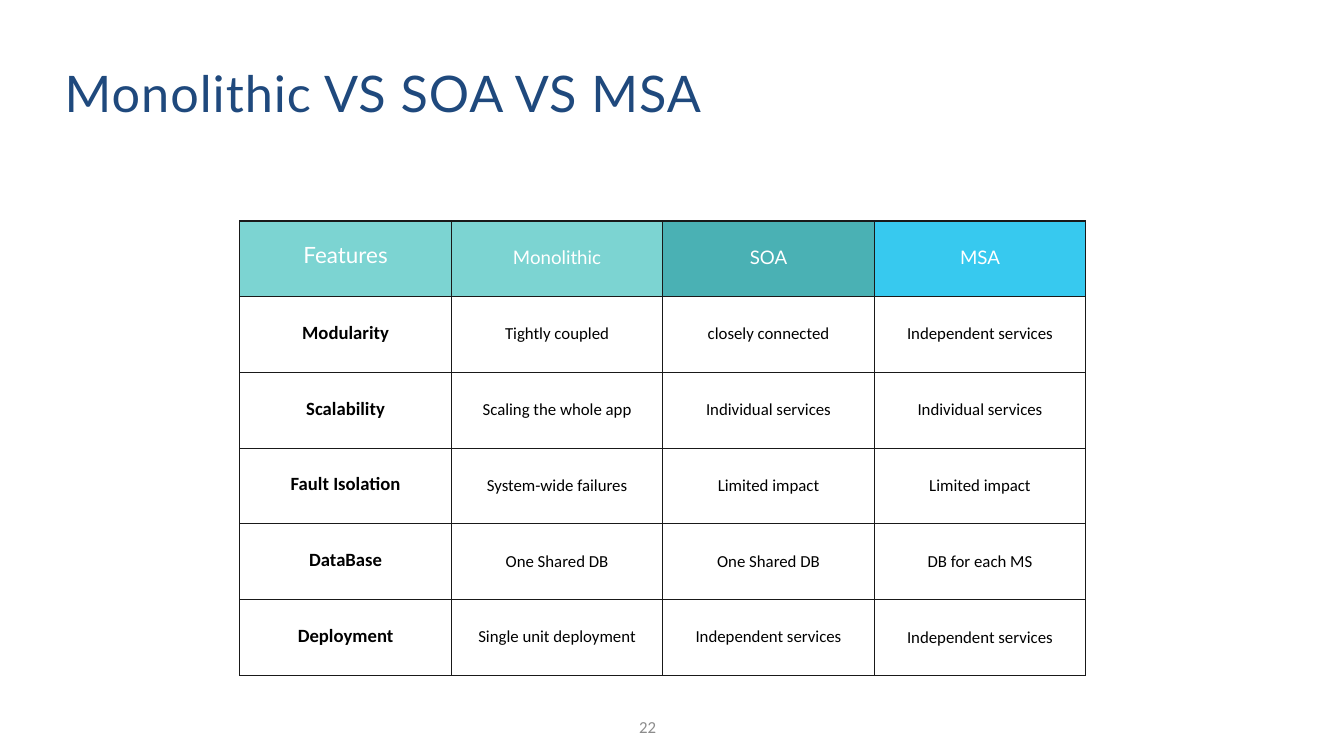
from lxml import etree
from pptx import Presentation
from pptx.dml.color import RGBColor
from pptx.enum.text import MSO_ANCHOR as Anchor, PP_ALIGN as Align
from pptx.oxml.ns import qn
from pptx.util import Pt

HEADER_FILLS = ["7CD4D2", "7CD4D2", "4AB1B4", "37C9EF"]
ROWS = [
    ["Features", "Monolithic", "SOA", "MSA"],
    ["Modularity", "Tightly coupled", "closely connected", "Independent services"],
    ["Scalability", "Scaling the whole app", "Individual services", "Individual services"],
    ["Fault Isolation", "System-wide failures", "Limited impact", "Limited impact"],
    ["DataBase", "One Shared DB", "One Shared DB", "DB for each MS"],
    ["Deployment", "Single unit deployment", "Independent services", "Independent services"],
]
COL_WIDTH, ROW_HEIGHT = 226.6, 81.1


def rgb(value):
    return RGBColor.from_string(value)


def set_text(tf, text, size, color, font="Calibri", bold=False, align=Align.CENTER,
             leading=None, spacing=None):
    p = tf.paragraphs[0]
    p.alignment = align
    if leading:
        p.line_spacing = Pt(leading)
    r = p.add_run()
    r.text = text
    r.font.name, r.font.size, r.font.bold = font, Pt(size), bold
    r.font.color.rgb = rgb(color)
    if spacing:
        r.font._element.set("spc", str(round(spacing * 100)))


def set_margins(item, margin):
    item.margin_left = item.margin_right = Pt(margin)
    item.margin_top = item.margin_bottom = Pt(margin)


def add_borders(cell, color, width):
    tc_pr = cell._tc.get_or_add_tcPr()
    for i, side in enumerate(["lnL", "lnR", "lnT", "lnB"]):
        ln = etree.Element(qn(f"a:{side}"), w=str(Pt(width)))
        fill = etree.SubElement(ln, qn("a:solidFill"))
        etree.SubElement(fill, qn("a:srgbClr"), val=color)
        tc_pr.insert(i, ln)  # borders come before the fill


def add_title(s, text):
    sp = s.shapes.title
    sp.left, sp.top, sp.width, sp.height = Pt(-48.2), Pt(84.2), Pt(918), Pt(51.1)
    tf = sp.text_frame
    tf.word_wrap = True
    tf.vertical_anchor = Anchor.TOP
    set_margins(tf, 0)
    set_text(tf, text, 54, "1F497D", font="Lato", leading=47.1, spacing=1.1)


def add_comparison_table(s, left, top):
    n_rows, n_cols = len(ROWS), len(ROWS[0])
    table = s.shapes.add_table(n_rows, n_cols, Pt(left), Pt(top),
                               Pt(COL_WIDTH * n_cols), Pt(ROW_HEIGHT * n_rows)).table
    for col in table.columns:
        col.width = Pt(COL_WIDTH)
    for i, row in enumerate(ROWS):
        table.rows[i].height = Pt(ROW_HEIGHT)
        for j, text in enumerate(row):
            cell = table.cell(i, j)
            cell.vertical_anchor = Anchor.MIDDLE
            cell.fill.solid()
            cell.fill.fore_color.rgb = rgb("FFFFFF" if i else HEADER_FILLS[j])
            add_borders(cell, "191919", 1.5)
            # The lower cells of the MSA column keep default margins and leading
            plain = i >= 3 and j == 3
            if not plain:
                set_margins(cell, 13.7)
            leading = None if plain else 21
            if i == 0:
                set_text(cell.text_frame, text, 20 if j else 24, "FFFFFF",
                         font="Lato", leading=leading)
            else:
                set_text(cell.text_frame, text, 18 if j else 20, "000000",
                         bold=j == 0, leading=leading)


def add_page_number(s, number):
    tf = s.shapes.add_textbox(Pt(542.2), Pt(764.6), Pt(167.8), Pt(28.8)).text_frame
    tf.word_wrap = True
    tf.vertical_anchor = Anchor.MIDDLE
    set_text(tf, number, 18, "8C8C8C", align=Align.RIGHT)


def main():
    prs = Presentation()
    prs.slide_width, prs.slide_height = Pt(1440), Pt(810)
    s = prs.slides.add_slide(prs.slide_layouts[5])  # title only
    add_title(s, "Monolithic VS SOA VS MSA")
    add_comparison_table(s, 257, 236.9)
    add_page_number(s, "22")
    prs.save("out.pptx")


if __name__ == "__main__":
    main()
